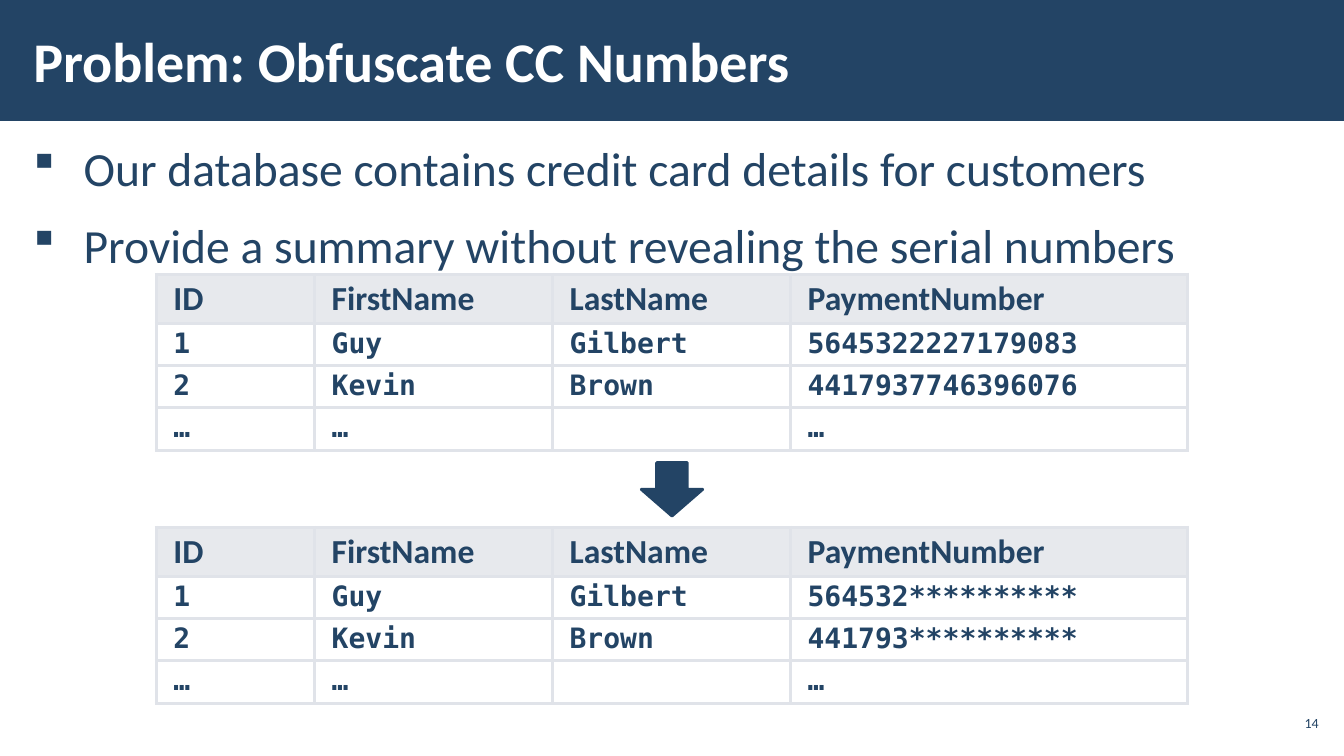
from lxml import etree
from pptx import Presentation
from pptx import util as u
from pptx.dml.color import RGBColor
from pptx.enum import shapes, text
from pptx.oxml.ns import qn

NAVY = RGBColor(0x23, 0x44, 0x65)
WHITE = RGBColor(0xFF, 0xFF, 0xFF)
HEADER_GREY = RGBColor(0xD1, 0xD5, 0xDD)
BORDER_GREY = RGBColor(0xE0, 0xE3, 0xE9)
SANS, MONO = "Calibri", "DejaVu Sans Mono"

COLUMN_WIDTHS = [1.57, 2.36, 2.36, 3.94]
ROW_HEIGHTS = [0.48, 0.42, 0.42, 0.42]
HEADINGS = ["ID", "FirstName", "LastName", "PaymentNumber"]
CUSTOMERS = [["1", "Guy", "Gilbert"], ["2", "Kevin", "Brown"], ["…", "…", ""]]
FULL_NUMBERS = ["5645322227179083", "4417937746396076", "…"]
HIDDEN_NUMBERS = ["564532**********", "441793**********", "…"]


def inches(box):
    return [u.Inches(length) for length in box]


def add_span(para, words, size, color=NAVY, font=SANS, bold=False):
    span = para.add_run()
    span.text = words
    span.font.size, span.font.name, span.font.bold = u.Pt(size), font, bold
    span.font.color.rgb = color


def set_frame(frame, side, anchor):
    frame.word_wrap = True
    frame.auto_size = text.MSO_AUTO_SIZE.NONE
    frame.vertical_anchor = anchor
    frame.margin_left = frame.margin_right = u.Inches(side)
    frame.margin_top = frame.margin_bottom = u.Inches(0.04)


def add_solid_shape(page, kind, box):
    shape = page.shapes.add_shape(kind, *inches(box))
    shape.shadow.inherit = False
    shape.fill.solid()
    shape.fill.fore_color.rgb = NAVY
    shape.line.fill.background()
    return shape


def add_header(page, box, words):
    left, top, width, height = box
    title = page.shapes.title
    band = add_solid_shape(page, shapes.MSO_SHAPE.RECTANGLE, box)
    title.element.addprevious(band.element)  # the band lies behind the title
    title.left, title.top, title.width, title.height = inches(
        [left + 0.21, top + 0.11, 10.4, height - 0.23])
    set_frame(title.text_frame, 0.12, text.MSO_ANCHOR.MIDDLE)
    para = title.text_frame.paragraphs[0]
    para.alignment = text.PP_ALIGN.LEFT
    add_span(para, words, 40, WHITE, bold=True)


def add_bullets(page, box, lines):
    frame = page.shapes.add_textbox(*inches(box)).text_frame
    set_frame(frame, 0.12, text.MSO_ANCHOR.TOP)
    for index, line in enumerate(lines):
        para = frame.add_paragraph() if index else frame.paragraphs[0]
        para.line_spacing = 1.05
        para.space_before = para.space_after = u.Pt(6)
        add_span(para, line, 34)
        properties = para._p.get_or_add_pPr()
        properties.set("marL", str(u.Inches(0.5)))
        properties.set("indent", str(-u.Inches(0.5)))
        etree.SubElement(properties, qn("a:buFont"), typeface="Wingdings")
        etree.SubElement(properties, qn("a:buChar"), char="§")


def draw_borders(cell):
    properties = cell._tc.get_or_add_tcPr()
    for side in ("lnL", "lnR", "lnT", "lnB"):
        line = etree.SubElement(properties, qn("a:" + side), w=str(u.Pt(2.25)))
        fill = etree.SubElement(line, qn("a:solidFill"))
        etree.SubElement(fill, qn("a:srgbClr"), val=str(BORDER_GREY))


def fill_cell(cell, color, opacity):
    cell.fill.solid()
    cell.fill.fore_color.rgb = color
    tint = cell._tc.tcPr.find(".//" + qn("a:solidFill") + "[last()]/..")
    tint = cell._tc.tcPr.find(qn("a:solidFill")).find(qn("a:srgbClr"))
    etree.SubElement(tint, qn("a:alpha"), val=str(opacity * 1000))


def add_customer_table(page, left, top, numbers):
    rows = [HEADINGS] + [row + [number] for row, number in zip(CUSTOMERS, numbers)]
    box = [left, top, sum(COLUMN_WIDTHS), sum(ROW_HEIGHTS)]
    table = page.shapes.add_table(len(rows), len(HEADINGS), *inches(box)).table
    table.first_row = table.horz_banding = False
    for column, width in zip(table.columns, COLUMN_WIDTHS):
        column.width = u.Inches(width)
    for row, height in zip(table.rows, ROW_HEIGHTS):
        row.height = u.Inches(height)
    for row_index, row in enumerate(rows):
        is_header = row_index == 0
        for column_index, words in enumerate(row):
            cell = table.cell(row_index, column_index)
            cell.margin_left = cell.margin_right = u.Inches(0.17)
            cell.margin_top = cell.margin_bottom = u.Inches(0.05)
            draw_borders(cell)
            fill_cell(cell, *((HEADER_GREY, 50) if is_header else (WHITE, 20)))
            if words:
                para = cell.text_frame.paragraphs[0]
                para.line_spacing = 0.95
                size, font = (24, SANS) if is_header else (20, MONO)
                add_span(para, words, size, font=font, bold=True)


def add_down_arrow(page, box):
    arrow = add_solid_shape(page, shapes.MSO_SHAPE.DOWN_ARROW, box)
    arrow.line.color.rgb = NAVY
    arrow.line.width = u.Pt(2)


def add_page_number(page, box, number):
    frame = page.shapes.add_textbox(*inches(box)).text_frame
    set_frame(frame, 0.04, text.MSO_ANCHOR.MIDDLE)
    para = frame.paragraphs[0]
    para.alignment = text.PP_ALIGN.RIGHT
    add_span(para, number, 10)


def main():
    deck = Presentation()
    deck.slide_width, deck.slide_height = inches([13.33, 7.5])
    page = deck.slides.add_slide(deck.slide_layouts.get_by_name("Title Only"))
    add_header(page, [0, 0, 13.33, 1.2], "Problem: Obfuscate CC Numbers")
    add_bullets(page, [0.21, 1.31, 12.92, 5.69], [
        "Our database contains credit card details for customers",
        "Provide a summary without revealing the serial numbers",
    ])
    add_page_number(page, [12.65, 7, 0.47, 0.34], "14")
    add_customer_table(page, 1.55, 2.72, FULL_NUMBERS)
    add_customer_table(page, 1.55, 5.23, HIDDEN_NUMBERS)
    add_down_arrow(page, [6.36, 4.59, 0.61, 0.53])
    deck.save("out.pptx")


if __name__ == "__main__":
    main()
